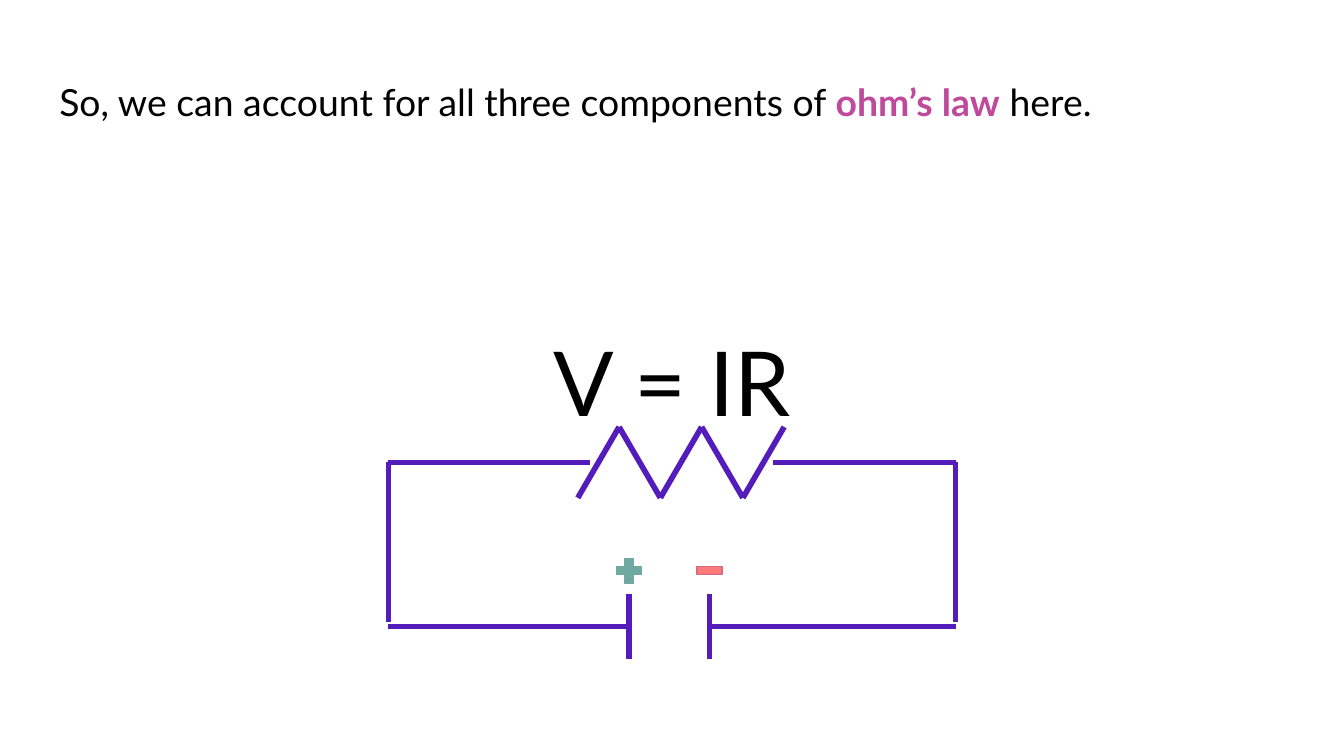
from itertools import pairwise

from lxml import etree
from pptx import Presentation
from pptx.dml.color import RGBColor
from pptx.enum.shapes import MSO_CONNECTOR, MSO_SHAPE
from pptx.enum.text import MSO_ANCHOR, MSO_AUTO_SIZE, PP_ALIGN
from pptx.oxml.ns import qn
from pptx.util import Cm, Pt

STRAIGHT = MSO_CONNECTOR.STRAIGHT
PLUS, MINUS = MSO_SHAPE.MATH_PLUS, MSO_SHAPE.MATH_MINUS
TOP, MIDDLE = MSO_ANCHOR.TOP, MSO_ANCHOR.MIDDLE
LEFT, CENTER = PP_ALIGN.LEFT, PP_ALIGN.CENTER
NO_FIT = MSO_AUTO_SIZE.NONE

FONT = "Lato"
BLACK, PINK, PURPLE = "000000", "BF4A9C", "531CBB"
TEAL, CORAL, ROSE = "70A9A1", "FF7A7A", "D46A80"
INSET = 0.25


def colour(value):
    """Turn a hex string into a colour."""
    return RGBColor.from_string(value)


def write_text(shape, box, spans, size, align, anchor, bottom=INSET):
    """Place a text shape and fill its paragraph with (text, colour, bold) spans."""
    for name, length in zip(("left", "top", "width", "height"), box):
        setattr(shape, name, Cm(length))
    frame = shape.text_frame
    frame_format = {
        "word_wrap": True, "auto_size": NO_FIT, "vertical_anchor": anchor,
        "margin_left": Cm(INSET), "margin_right": Cm(INSET),
        "margin_top": Cm(INSET), "margin_bottom": Cm(bottom),
    }
    for name, value in frame_format.items():
        setattr(frame, name, value)
    para = frame.paragraphs[0]
    para_format = {"alignment": align, "line_spacing": 1.0, "space_before": Pt(0)}
    for name, value in para_format.items():
        setattr(para, name, value)
    for text, ink, bold in spans:
        span = para.add_run()
        span.text = text
        for name, value in {"name": FONT, "size": Pt(size), "bold": bold}.items():
            setattr(span.font, name, value)
        span.font.color.rgb = colour(ink)


def add_heading(page, box):
    """Write the sentence in the title placeholder."""
    spans = [
        ("So, we can account for all three components of ", BLACK, False),
        ("ohm’s law", PINK, True),
        (" here.", BLACK, False),
    ]
    write_text(page.shapes.title, box, spans, 20, LEFT, TOP)


def add_formula(page, box):
    """Write the formula, lifted clear of the circuit."""
    shape = page.shapes.add_textbox(0, 0, 0, 0)
    write_text(shape, box, [("V = IR", BLACK, False)], 48, CENTER, MIDDLE, 1.75)


def add_wire(page, start, end):
    """Draw one straight wire between two points."""
    wire = page.shapes.add_connector(STRAIGHT, *(Cm(length) for length in start + end))
    wire.line.color.rgb = colour(PURPLE)
    wire.line.width = Pt(3)
    etree.SubElement(wire._element.spPr, qn("a:effectLst"))


def add_sign(page, kind, centre, size, fill, line):
    """Draw a battery sign centred on a point."""
    x, y = centre
    sign = page.shapes.add_shape(
        kind, Cm(x - size / 2), Cm(y - size / 2), Cm(size), Cm(size))
    sign.adjustments[0] = 0.235
    sign.shadow.inherit = False
    sign.fill.solid()
    sign.fill.fore_color.rgb = colour(fill)
    sign.line.color.rgb = colour(line)
    sign.line.width = Pt(0.75)


def add_circuit(page, box):
    """Draw the loop with its resistor on top and its battery below."""
    left, top, width, height = box
    right, bottom = left + width, top + height
    plus_x, minus_x = left + 4.55, left + 6.07

    add_wire(page, (left, top), (left + 3.81, top))
    add_wire(page, (right - 3.46, top), (right, top))
    peaks = [(left + 3.58 + step * 0.78, top + (-0.67 if step % 2 else 0.67))
             for step in range(6)]
    for start, end in pairwise(peaks):
        add_wire(page, start, end)

    for x in (left, right):
        add_wire(page, (x, top), (x, bottom - 0.08))
    add_wire(page, (left, bottom), (plus_x, bottom))
    add_wire(page, (minus_x, bottom), (right, bottom))

    for x, kind, fill, line in ((plus_x, PLUS, TEAL, TEAL), (minus_x, MINUS, CORAL, ROSE)):
        add_wire(page, (x, bottom - 0.61), (x, bottom + 0.61))
        add_sign(page, kind, (x, bottom - 1.05), 0.64, fill, line)


def main():
    """Build and save the deck."""
    deck = Presentation()
    deck.slide_width, deck.slide_height = Cm(25.4), Cm(14.29)
    page = deck.slides.add_slide(deck.slide_layouts[5])
    add_formula(page, (0.87, 3.2, 23.67, 9.5))
    add_heading(page, (0.87, 1.24, 23.67, 1.6))
    add_circuit(page, (7.34, 8.74, 10.72, 3.1))
    deck.save("out.pptx")


if __name__ == "__main__":
    main()
